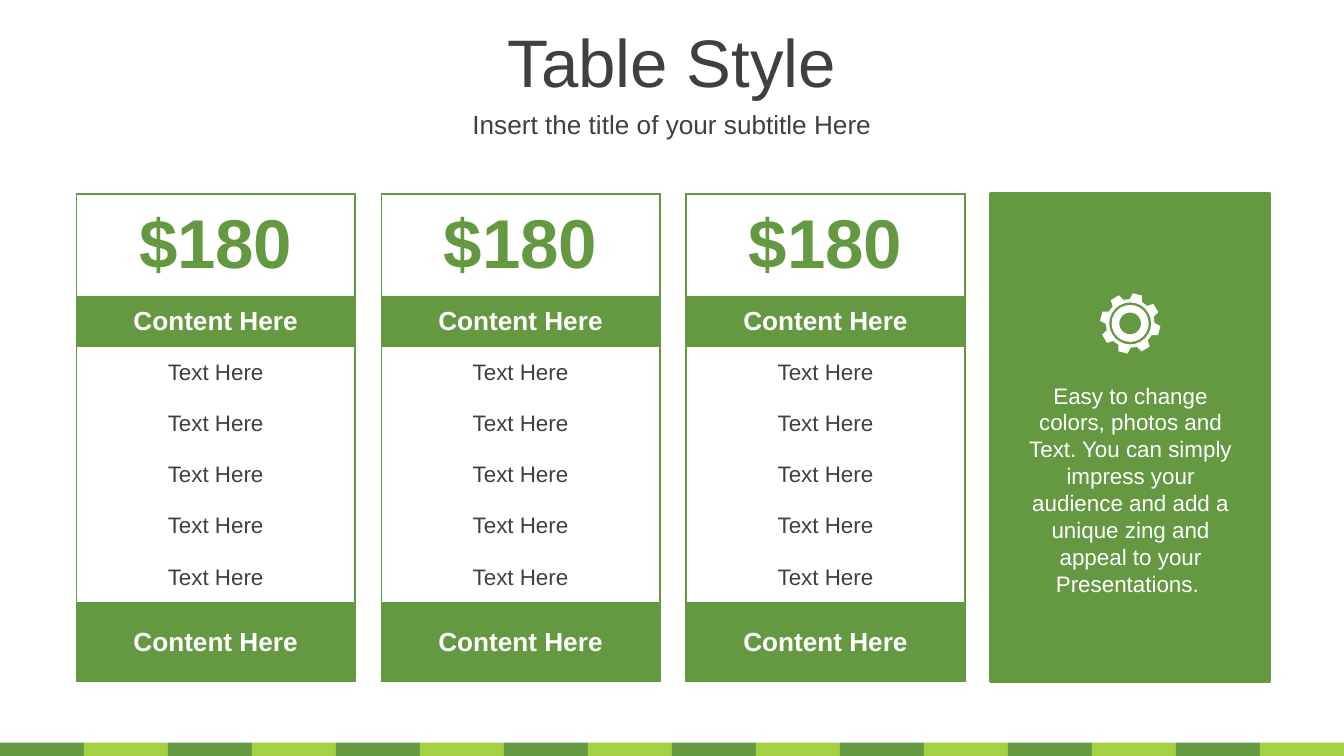
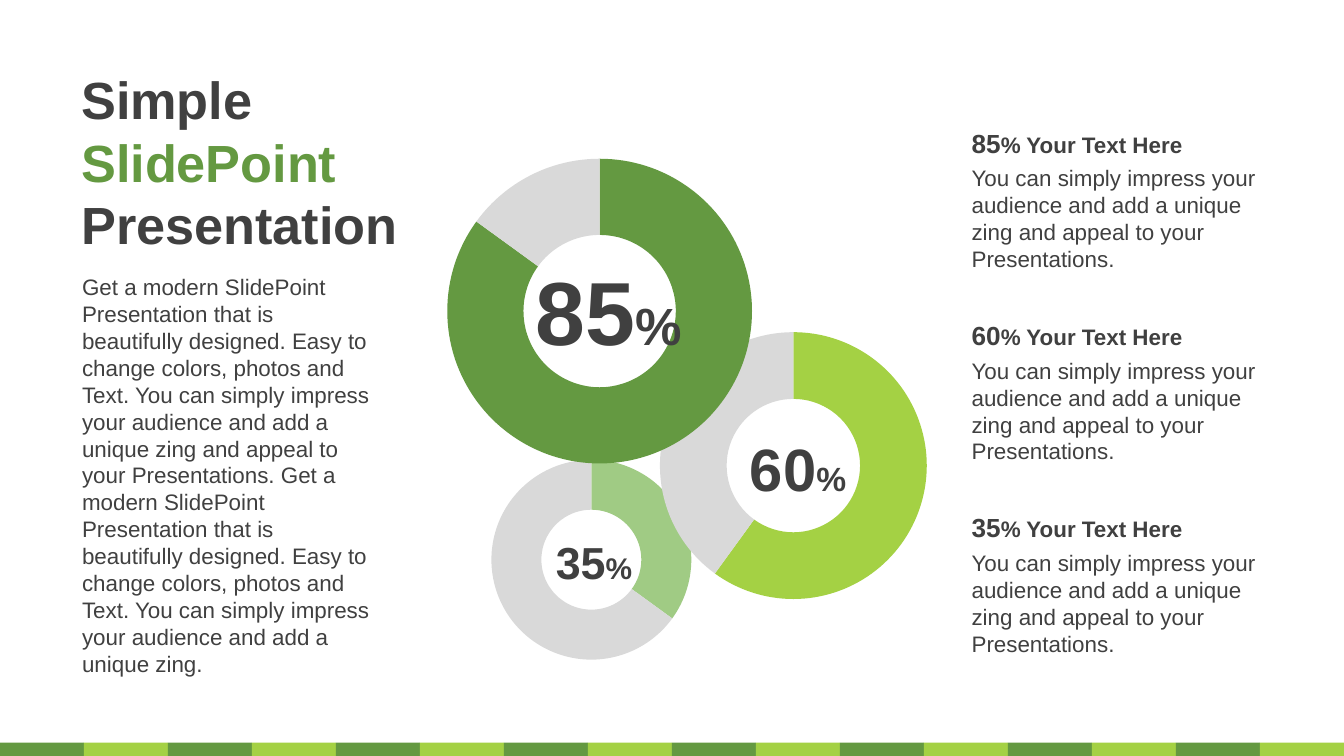
from dataclasses import dataclass
from math import cos, radians, sin

from lxml.etree import SubElement
from pptx import Presentation
from pptx.chart.data import CategoryChartData
from pptx.dml.color import RGBColor
from pptx.enum.chart import XL_CHART_TYPE
from pptx.enum.shapes import MSO_SHAPE
from pptx.enum.text import MSO_ANCHOR, MSO_AUTO_SIZE, PP_ALIGN
from pptx.oxml import parse_xml
from pptx.oxml.ns import nsdecls, qn
from pptx.util import Inches, Pt

# Shared style: a grid of 16 columns by 9 rows of square cells
COLUMNS, ROWS = 16, 9
UNIT = Inches(10) // COLUMNS
FONT = "Arial"
GREEN, LIME, PALE_GREEN = "649941", "A4D144", "A0CB84"
DARK, GRAY, WHITE = "404040", "D9D9D9", "FFFFFF"
PLAIN_TABLE_STYLE = "{2D5ABB26-0587-4C30-8999-92F81FD0307C}"

# Price cards on slide 1
CARD_LEFT, CARD_TOP, CARD_PITCH = 0.91, 2.31, 3.63
CARD_COLUMNS = (0.38, 2.55, 0.38)
CARD_WIDTH = sum(CARD_COLUMNS)


@dataclass(frozen=True)
class Box:
    left: float
    top: float
    width: float
    height: float

    def lengths(self) -> list[int]:
        return [grid(value) for value in (self.left, self.top, self.width, self.height)]


@dataclass(frozen=True)
class Run:
    text: str
    size: float = 12
    color: str = DARK
    bold: bool = False


@dataclass(frozen=True)
class CardRow:
    height: float
    run: Run
    fill: str


@dataclass(frozen=True)
class Ring:
    percent: int
    color: str
    chart: Box
    label: Box
    number_size: float
    sign_size: float


CARD_ROWS = [
    CardRow(1.21, Run("$180", 37, GREEN, True), WHITE),
    CardRow(0.61, Run("Content Here", 14, WHITE, True), GREEN),
    *[CardRow(0.61, Run("Text Here"), WHITE)] * 5,
    CardRow(0.93, Run("Content Here", 14, WHITE, True), GREEN),
]
CARD_HEIGHT = sum(row.height for row in CARD_ROWS)

# Rings from back to front
RINGS = [
    Ring(35, PALE_GREEN, Box(5.8, 5.37, 2.48, 2.59), Box(6.46, 6.29, 1.25, 0.8), 24, 16),
    Ring(60, LIME, Box(7.79, 3.81, 3.31, 3.47), Box(8.77, 5.06, 1.47, 1.02), 32, 18),
    Ring(85, GREEN, Box(5.25, 1.73, 3.78, 3.95), Box(6.22, 2.96, 2.08, 1.46), 48, 28),
]
RING_PLOT = {"x": 0.02, "y": 0.04, "w": 0.96, "h": 0.92}

PANEL_TEXT = (
    "Easy to change colors, photos and Text. You can simply impress your audience "
    "and add a unique zing and appeal to your Presentations. "
)
INTRO_TEXT = (
    "Get a modern SlidePoint Presentation that is beautifully designed. "
    f"{PANEL_TEXT}Get a modern SlidePoint Presentation that is beautifully designed. "
    "Easy to change colors, photos and Text. You can simply impress your audience "
    "and add a unique zing."
)
LEGEND_TEXT = (
    "You can simply impress your audience and add a unique zing and appeal "
    "to your Presentations."
)


def grid(value: float) -> int:
    return round(value * UNIT)


def rgb(color: str) -> RGBColor:
    return RGBColor.from_string(color)


def paint(shape, fill: str, line: str = "", line_width: float = 1) -> None:
    shape.shadow.inherit = False
    shape.fill.solid()
    shape.fill.fore_color.rgb = rgb(fill)
    if line:
        shape.line.color.rgb = rgb(line)
        shape.line.width = Pt(line_width)
    else:
        shape.line.fill.background()


def add_rectangle(parent, box: Box, fill: str, line: str = "", line_width: float = 1) -> None:
    shape = parent.shapes.add_shape(MSO_SHAPE.RECTANGLE, *box.lengths())
    paint(shape, fill, line, line_width)


def write(frame, *lines: list[Run], align=PP_ALIGN.LEFT) -> None:
    for index, runs in enumerate(lines):
        paragraph = frame.add_paragraph() if index else frame.paragraphs[0]
        paragraph.alignment = align
        for part in runs:
            run = paragraph.add_run()
            run.text = part.text
            run.font.name = FONT
            run.font.size = Pt(part.size)
            run.font.bold = part.bold
            run.font.color.rgb = rgb(part.color)


def add_text(parent, box: Box, *lines: list[Run], align=PP_ALIGN.LEFT,
             wrap: bool = True, grow: bool = True) -> None:
    frame = parent.shapes.add_textbox(*box.lengths()).text_frame
    frame.word_wrap = wrap
    frame.auto_size = MSO_AUTO_SIZE.SHAPE_TO_FIT_TEXT if grow else MSO_AUTO_SIZE.NONE
    frame.vertical_anchor = MSO_ANCHOR.MIDDLE
    write(frame, *lines, align=align)


def add_slide(presentation):
    return presentation.slides.add_slide(presentation.slide_layouts[6])


def move_band_to_master(presentation, slide) -> None:
    # Striped footer band, shared by all slides
    band = slide.shapes.add_group_shape()
    for column in range(COLUMNS):
        add_rectangle(band, Box(column, 8.84, 1, 0.16), (GREEN, LIME)[column % 2])
    presentation.slide_master.shapes._spTree.append(band._element)


def set_borders(cell, sides: list[str]) -> None:
    properties = cell._tc.get_or_add_tcPr()
    for index, side in enumerate(sides):
        properties.insert(index, parse_xml(
            f'<a:ln{side} {nsdecls("a")} w="{Pt(1)}"><a:solidFill>'
            f'<a:srgbClr val="{GREEN}"/></a:solidFill></a:ln{side}>'))


def add_price_card(slide, left: float) -> None:
    box = Box(left, CARD_TOP, CARD_WIDTH, CARD_HEIGHT)
    last_row, last_column = len(CARD_ROWS) - 1, len(CARD_COLUMNS) - 1
    table = slide.shapes.add_table(
        len(CARD_ROWS), len(CARD_COLUMNS), *box.lengths()).table
    table._tbl.tblPr.find(qn("a:tableStyleId")).text = PLAIN_TABLE_STYLE
    table.first_row = table.horz_banding = False
    for column, width in zip(table.columns, CARD_COLUMNS):
        column.width = grid(width)
    table.cell(last_row, 0).merge(table.cell(last_row, last_column))

    for row_index, row in enumerate(CARD_ROWS):
        table.rows[row_index].height = grid(row.height)
        is_last = row_index == last_row
        for column_index in range(len(CARD_COLUMNS)):
            cell = table.cell(row_index, column_index)
            cell.fill.solid()
            cell.fill.fore_color.rgb = rgb(row.fill)
            cell.vertical_anchor = MSO_ANCHOR.MIDDLE
            edges = {"L": column_index == 0,
                     "R": column_index == last_column or is_last,
                     "T": row_index in (0, last_row),
                     "B": row_index >= last_row - 1}
            set_borders(cell, [side for side, drawn in edges.items() if drawn])
            if column_index == (0 if is_last else 1):
                write(cell.text_frame, [row.run], align=PP_ALIGN.CENTER)
            else:
                cell.margin_top = cell.margin_bottom = 0


def add_gear(slide, center_x: float, center_y: float, fill: str) -> None:
    def point(radius: float, angle: float) -> tuple[int, int]:
        return (grid(center_x + radius * sin(radians(angle))),
                grid(center_y - radius * cos(radians(angle))))

    # Eight teeth, each with two root and two tip corners
    tooth = ((0.29, -15), (0.36, -9), (0.36, 9), (0.29, 15))
    teeth = [point(radius, 14 + 45 * index + offset)
             for index in range(8) for radius, offset in tooth]
    builder = slide.shapes.build_freeform(*teeth[0], scale=1.0)
    builder.add_line_segments(teeth[1:], close=True)
    shape = builder.convert_to_shape()
    paint(shape, fill)

    # Round contours, each from two half arcs
    outline = next(shape._element.iter(qn("a:path")))
    for radius in (0.25, 0.22, 0.13):
        start_x, start_y = point(radius, 90)
        move = SubElement(outline, qn("a:moveTo"))
        SubElement(move, qn("a:pt"), x=str(start_x - shape.left), y=str(start_y - shape.top))
        for start_angle in (0, 180):
            SubElement(outline, qn("a:arcTo"), wR=str(grid(radius)), hR=str(grid(radius)),
                       stAng=str(start_angle * 60000), swAng=str(180 * 60000))
        SubElement(outline, qn("a:close"))


def add_ring(slide, ring: Ring) -> None:
    data = CategoryChartData()
    data.categories = ["1", "2", "3", "4"]
    data.add_series("Series 1", (ring.percent, 100 - ring.percent, 0, 0))
    chart = slide.shapes.add_chart(
        XL_CHART_TYPE.DOUGHNUT, *ring.chart.lengths(), data).chart
    chart.has_legend = chart.has_title = False
    chart.font.name = FONT
    chart.font.size = Pt(18)
    chart.font.color.rgb = rgb("000000")
    plot = chart.plots[0]
    plot.vary_by_categories = True
    plot.has_data_labels = False
    for index, color in enumerate((ring.color, GRAY, GREEN, LIME)):
        form = plot.series[0].points[index].format
        form.fill.solid()
        form.fill.fore_color.rgb = rgb(color)
        form.line.fill.background()

    # Hole size and plot position
    plot._element.find(qn("c:holeSize")).set("val", "80")
    plot_area = chart._chartSpace.chart.plotArea
    for layout in plot_area.findall(qn("c:layout")):
        plot_area.remove(layout)
    layout = parse_xml(f'<c:layout {nsdecls("c")}/>')
    plot_area.insert(0, layout)
    manual = SubElement(layout, qn("c:manualLayout"))
    settings = {"layoutTarget": "inner", "xMode": "edge", "yMode": "edge", **RING_PLOT}
    for name, value in settings.items():
        SubElement(manual, qn(f"c:{name}")).set("val", str(value))


def build_table_slide(slide) -> None:
    center = PP_ALIGN.CENTER
    add_text(slide, Box(0, 0.22, COLUMNS, 1.01), [Run("Table Style", 36)],
             align=center, grow=False)
    add_text(slide, Box(0, 1.23, COLUMNS, 0.5),
             [Run("Insert the title of your subtitle Here", 14)],
             align=center, grow=False)
    for index in range(3):
        add_price_card(slide, CARD_LEFT + index * CARD_PITCH)

    # Green panel in the fourth place
    panel_left = CARD_LEFT + 3 * CARD_PITCH
    add_rectangle(slide, Box(panel_left, CARD_TOP, CARD_WIDTH, CARD_HEIGHT),
                  GREEN, GREEN, 2)
    add_gear(slide, panel_left + CARD_WIDTH / 2, 3.85, WHITE)
    add_text(slide, Box(12.01, 4.45, 2.9, 2.75), [Run(PANEL_TEXT, color=WHITE)],
             align=center)


def build_rings_slide(slide) -> None:
    # Heading and introduction
    add_text(slide, Box(0.81, 0.71, 4.53, 2.42), [Run("Simple", 28, bold=True)],
             [Run("SlidePoint", 28, GREEN, True), Run(" Presentation", 28, bold=True)])
    add_text(slide, Box(0.82, 3.15, 3.81, 5.01), [Run(INTRO_TEXT)])

    for ring in RINGS:
        add_ring(slide, ring)
    for ring in RINGS:
        add_text(slide, ring.label, [Run(str(ring.percent), ring.number_size, bold=True),
                                     Run("%", ring.sign_size, bold=True)], wrap=False)

    # Legend, largest share first
    for index, ring in enumerate(reversed(RINGS)):
        top = 1.43 + 2.29 * index
        entry = slide.shapes.add_group_shape()
        add_text(entry, Box(11.41, top + 0.44, 4.02, 1.46), [Run(LEGEND_TEXT)])
        add_text(entry, Box(11.41, top, 4.02, 0.54),
                 [Run(str(ring.percent), 14, bold=True), Run("% Your Text Here", bold=True)])


def main() -> None:
    presentation = Presentation()
    presentation.slide_width = COLUMNS * UNIT
    presentation.slide_height = ROWS * UNIT
    table_slide, rings_slide = add_slide(presentation), add_slide(presentation)
    move_band_to_master(presentation, table_slide)
    build_table_slide(table_slide)
    build_rings_slide(rings_slide)
    presentation.save("out.pptx")


if __name__ == "__main__":
    main()
